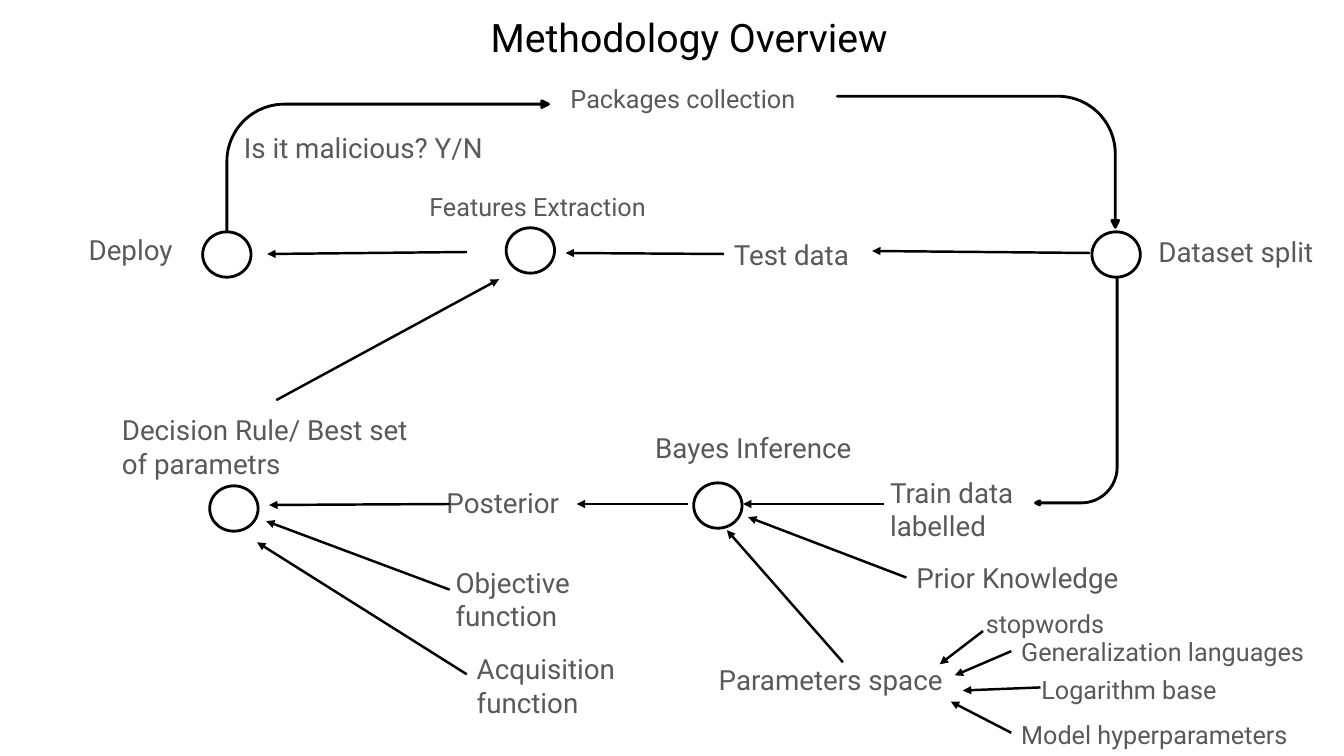
from dataclasses import dataclass

from lxml import etree
from pptx import Presentation
from pptx import util as u
from pptx.dml.color import RGBColor
from pptx.enum import shapes, text
from pptx.oxml.ns import qn

PX = 9144  # EMU; 100 px to the inch


@dataclass(frozen=True)
class Theme:
    font: str = "Roboto"
    ink: RGBColor = RGBColor(0, 0, 0)
    label: RGBColor = RGBColor(0x59, 0x59, 0x59)
    paper: RGBColor = RGBColor(0xFF, 0xFF, 0xFF)
    title_size: float = 28
    step_size: float = 19.8
    detail_size: float = 18
    outline: float = 2
    arrow: float = 1.75


THEME = Theme()

# left, top, width, height, text
STEPS = [
    (1139, 228, 194, 43, "Dataset split"),
    (899, 551, 246, 43, "Prior Knowledge"),
    (873, 467, 154, 77, "Train data\nlabelled"),
    (703, 653, 329, 43, "Parameters space"),
    (640, 422, 225, 43, "Bayes Inference"),
    (433, 477, 139, 43, "Posterior"),
    (442, 556, 228, 77, "Objective function"),
    (463, 642, 247, 77, "Acquisition function"),
    (111, 405, 311, 77, "Decision Rule/ Best set of parametrs"),
    (232, 125, 634, 43, "Is it malicious? Y/N"),
    (78, 226, 121, 43, "Deploy"),
    (718, 231, 139, 43, "Test data"),
]
DETAILS = [
    (556, 78, 329, 40, "Packages collection"),
    (416, 185, 667, 40, "Features Extraction"),
    (968, 599, 327, 40, "stopwords"),
    (1003, 626, 327, 40, "Generalization languages"),
    (1023, 664, 309, 40, "Logarithm base"),
    (1003, 709, 298, 40, "Model hyperparameters"),
]
# left, top of each circle
NODES = [(688, 479), (208, 482), (201, 230), (1083, 230), (502, 226)]
# from x, from y, to x, to y
ARROWS = [
    (877, 500, 737, 500),
    (899, 573, 742, 513),
    (836, 657, 721, 526),
    (682, 500, 572, 500),
    (446, 500, 267, 501),
    (446, 585, 264, 517),
    (463, 669, 255, 538),
    (274, 397, 495, 277),
    (1081, 251, 865, 249),
    (718, 252, 561, 251),
    (463, 250, 265, 252),
    (975, 626, 932, 659),
    (1003, 646, 947, 670),
    (1032, 682, 955, 685),
    (1003, 727, 943, 696),
]
# left, top, width, height before turning, rotation
BENDS = [
    (225, 100, 319, 130, 0),
    (905, 21, 130, 279, 90),
    (1027, 276, 81, 225, 180),
]


def emu(*lengths):
    return [u.Emu(length * PX) for length in lengths]


def style(p, size, color):
    p.font.name = THEME.font
    p.font.size = u.Pt(size)
    p.font.color.rgb = color


def add_title(s, box, words):
    sp = s.shapes.title
    sp.left, sp.top, sp.width, sp.height = emu(*box)
    tf = sp.text_frame
    tf.text = words
    tf.vertical_anchor = text.MSO_ANCHOR.TOP
    tf.auto_size = text.MSO_AUTO_SIZE.SHAPE_TO_FIT_TEXT
    p = tf.paragraphs[0]
    p.alignment = text.PP_ALIGN.CENTER
    style(p, THEME.title_size, THEME.ink)


def add_label(s, box, words, size):
    tf = s.shapes.add_textbox(*emu(*box)).text_frame
    tf.word_wrap = True
    tf.auto_size = text.MSO_AUTO_SIZE.SHAPE_TO_FIT_TEXT
    tf.text = words
    for p in tf.paragraphs:
        style(p, size, THEME.label)


def add_outlined(s, kind, box, fill):
    sp = s.shapes.add_shape(kind, *emu(*box))
    sp.shadow.inherit = False
    sp.fill.solid()
    sp.fill.fore_color.rgb = fill
    sp.line.color.rgb = THEME.ink
    sp.line.width = u.Pt(THEME.outline)
    return sp


def add_node(s, left, top):
    add_outlined(s, shapes.MSO_SHAPE.OVAL, (left, top, 48, 45), THEME.paper)


def add_bend(s, box, rotation):
    """Draw a hairline bent arrow with a small head and a rounded corner."""
    sp = add_outlined(s, shapes.MSO_SHAPE.BENT_ARROW, box, THEME.ink)
    sp.rotation = rotation
    for i, value in enumerate((0, 0.026, 0.052, 0.438)):
        sp.adjustments[i] = value


def add_arrow(s, ends):
    cxn = s.shapes.add_connector(shapes.MSO_CONNECTOR.STRAIGHT, *emu(*ends))
    cxn.line.color.rgb = THEME.ink
    cxn.line.width = u.Pt(THEME.arrow)
    etree.SubElement(cxn.line._get_or_add_ln(), qn("a:tailEnd"), type="triangle")
    etree.SubElement(cxn._element.spPr, qn("a:effectLst"))


def main():
    prs = Presentation()
    prs.slide_width, prs.slide_height = emu(1333, 750)
    s = prs.slides.add_slide(prs.slide_layouts[5])
    add_title(s, (307, 8, 753, 57), "Methodology Overview")
    for labels, size in ((STEPS, THEME.step_size), (DETAILS, THEME.detail_size)):
        for *box, words in labels:
            add_label(s, box, words, size)
    for *box, rotation in BENDS:
        add_bend(s, box, rotation)
    for left, top in NODES:
        add_node(s, left, top)
    for ends in ARROWS:
        add_arrow(s, ends)
    prs.save("out.pptx")


if __name__ == "__main__":
    main()
